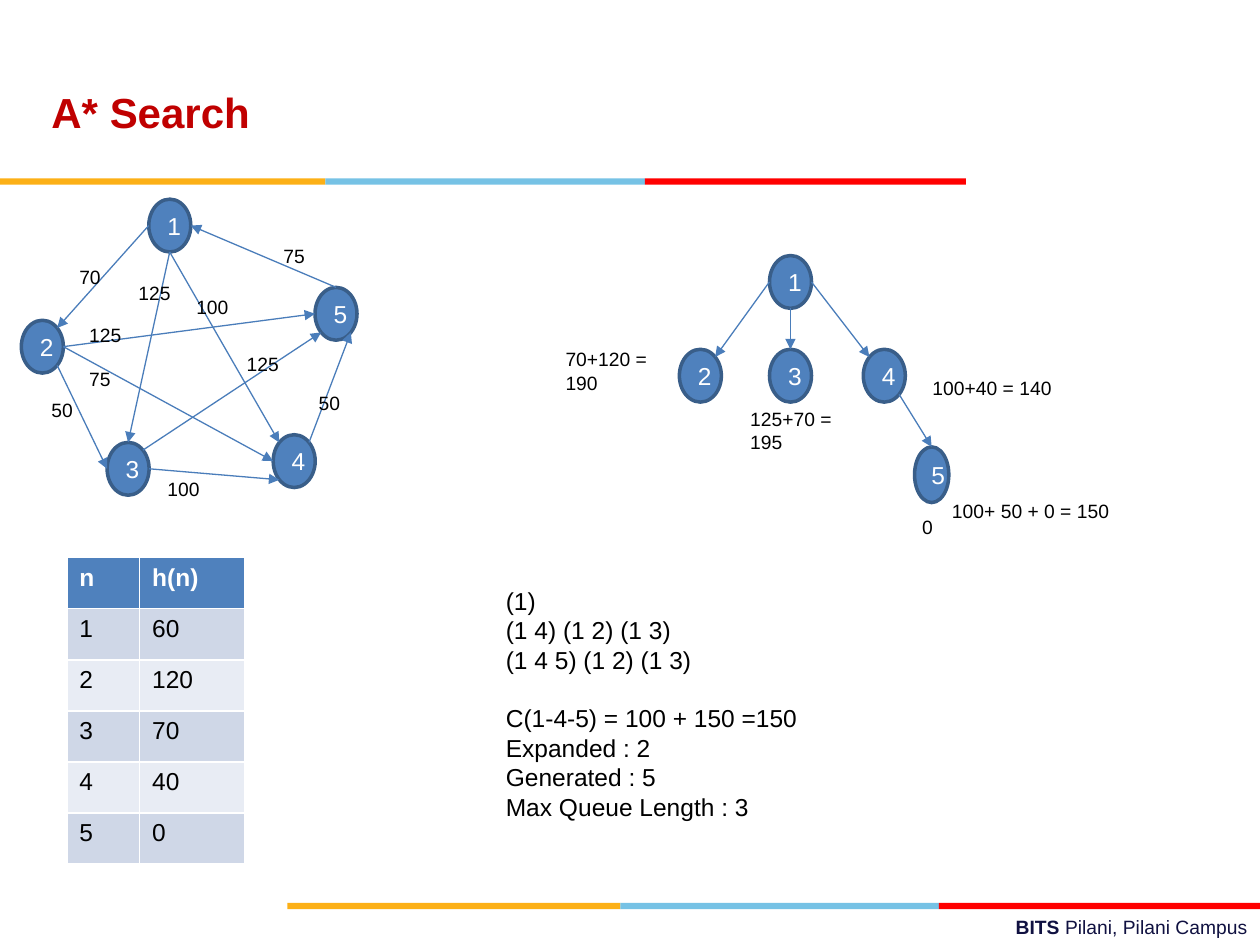
import math
from lxml import etree
from pptx import Presentation
from pptx import util as u
from pptx.dml import color
from pptx.enum import shapes, text
from pptx.oxml import ns

TOP, LEFT, LOWLEFT, BASE, LOWRIGHT, RIGHT, UPRIGHT = 90, 180, 225, 270, 315, 0, 45
UPLEFT = 135
YELLOW, SKY, RED = "FCB017", "76C2E5", "FF0000"


def tint(hue):
    return color.RGBColor.from_string(hue)


def site(node, angle):
    x, y, w, h = node
    turn = math.radians(angle)
    return x + w / 2 * (1 + math.cos(turn)), y + h / 2 * (1 - math.sin(turn))


class Deck:
    face = "Arial"
    blue, edge, wire = "4F81BD", "395E89", "4A7DBA"

    def __init__(self, wide, high):
        self.prs = Presentation()
        self.prs.slide_width, self.prs.slide_height = u.Pt(wide), u.Pt(high)
        self.slide = self.prs.slides.add_slide(self.prs.slide_layouts[6])
        self.shapes = self.slide.shapes

    def font(self, item, size, hue="000000", bold=False):
        font = item.font
        font.name, font.size, font.bold = self.face, u.Pt(size), bold
        font.color.rgb = tint(hue)

    def label(self, box, words, size=11, hue="000000", bold=False):
        frame = self.shapes.add_textbox(*map(u.Pt, box)).text_frame
        frame.word_wrap = True
        frame.text = words
        for para in frame.paragraphs:
            self.font(para, size, hue, bold)
        return frame

    def form(self, kind, box, fill):
        shape = self.shapes.add_shape(kind, *map(u.Pt, box))
        shape.shadow.inherit = False
        shape.fill.solid()
        shape.fill.fore_color.rgb = tint(fill)
        shape.line.fill.background()
        return shape

    def bar(self, top, *parts):
        for left, right, fill in parts:
            self.form(shapes.MSO_SHAPE.RECTANGLE, (left, top, right - left, 3.6), fill)

    def node(self, box, name):
        shape = self.form(shapes.MSO_SHAPE.OVAL, box, self.blue)
        shape.line.color.rgb = tint(self.edge)
        shape.line.width = u.Pt(2)
        frame = shape.text_frame
        frame.vertical_anchor = text.MSO_ANCHOR.MIDDLE
        frame.text = str(name)
        para = frame.paragraphs[0]
        para.alignment = text.PP_ALIGN.CENTER
        self.font(para, 14, "FFFFFF")

    def arrow(self, start, end):
        link = self.shapes.add_connector(
            shapes.MSO_CONNECTOR.STRAIGHT, *map(u.Pt, (*start, *end)))
        link.line.color.rgb = tint(self.wire)
        link.line.width = u.Pt(0.75)
        etree.SubElement(link.line._get_or_add_ln(), ns.qn("a:tailEnd"), type="triangle")
        etree.SubElement(link._element.spPr, ns.qn("a:effectLst"))

    def graph(self, nodes, edges):
        for name, box in nodes.items():
            self.node(box, name)
        for tail, out, head, into in edges:
            self.arrow(site(nodes[tail], out), site(nodes[head], into))

    def table(self, left, top, widths, high, rows):
        grid = self.shapes.add_table(
            len(rows), len(widths), u.Pt(left), u.Pt(top),
            u.Pt(sum(widths)), u.Pt(high * len(rows))).table
        for col, wide in zip(grid.columns, widths):
            col.width = u.Pt(wide)
        for r, row in enumerate(rows):
            fill = ("CFD7E7" if r % 2 else "E8ECF4") if r else self.blue
            for c, words in enumerate(row):
                cell = grid.cell(r, c)
                cell.text = str(words)
                cell.fill.solid()
                cell.fill.fore_color.rgb = tint(fill)
                self.font(cell.text_frame.paragraphs[0], 14,
                          "000000" if r else "FFFFFF", not r)


def main():
    deck = Deck(720, 540)
    deck.bar(516, (164.3, 354.5, YELLOW), (354.5, 536.5, SKY), (536.5, 720, RED))
    deck.bar(102, (0, 186, YELLOW), (186, 368.6, SKY), (368.6, 552, RED))

    foot = deck.label((258, 519.2, 462, 20.6), "", 11).paragraphs[0]
    foot.alignment = text.PP_ALIGN.RIGHT
    for words, bold in (("BITS ", True), ("Pilani, Pilani Campus", False)):
        run = foot.add_run()
        run.text = words
        deck.font(run, 11, "101141", bold)

    title = deck.label((22.3, 11.5, 498, 90), "A* Search", 24, "C00000", True)
    title.vertical_anchor = text.MSO_ANCHOR.MIDDLE
    title.paragraphs[0].line_spacing = 1.5

    heur = {1: 60, 2: 120, 3: 70, 4: 40, 5: 0}
    deck.table(38.2, 318.6, (41.6, 60.2), 29.2, [("n", "h(n)"), *heur.items()])

    size = (24, 30.2)
    spots = {1: (85, 113.8), 2: (12.2, 183), 3: (61.2, 252.8),
             4: (156.1, 248.4), 5: (180, 164.2)}
    deck.graph({name: spot + size for name, spot in spots.items()}, [
        (1, LEFT, 2, UPRIGHT), (1, BASE, 3, TOP), (1, BASE, 4, UPLEFT),
        (2, LOWRIGHT, 3, LEFT), (2, RIGHT, 4, LEFT), (2, RIGHT, 5, LEFT),
        (3, RIGHT, 4, LOWLEFT), (3, UPRIGHT, 5, LOWLEFT),
        (4, UPRIGHT, 5, LOWRIGHT), (5, TOP, 1, RIGHT)])
    for x, y, cost in (
            (38.2, 148.3, 70), (72, 157, 125), (105.1, 164.9, 100),
            (22.3, 224, 50), (43.9, 206.6, 75), (43.9, 181.4, 125),
            (175, 220.3, 50), (88.6, 269.3, 100), (133.9, 198, 125),
            (154.8, 136.1, 75)):
        deck.label((x, y, 27 if cost < 100 else 36, 20.6), str(cost))

    row = 199.6
    tree = {1: (439.7, 146) + size, 2: (388.2, row) + size,
            3: (439.7, row) + size, 4: (493.3, row) + size,
            5: (522.6, 255.4, 19.6, 31.8)}
    deck.graph(tree, [(1, LEFT, 2, UPRIGHT), (1, BASE, 3, TOP),
                      (1, RIGHT, 4, UPLEFT), (4, LOWRIGHT, 5, TOP)])
    for x, y, wide, words in (
            (519.8, 290.9, 27, "0"), (316.1, 195.1, 76.3, "70+120 = 190"),
            (421.6, 229.3, 79.9, "125+70 = 195"),
            (536.9, 281.8, 107, "100+ 50 + 0 = 150"),
            (525.8, 211.5, 86.4, "100+40 = 140")):
        deck.label((x, y, wide, 20.6), words)

    lines = ("(1)", "(1 4) (1 2) (1 3)", "(1 4 5) (1 2) (1 3)",
             "C(1-4-5) = 100 + 150 =150", "Expanded : 2", "Generated : 5",
             "Max Queue Length : 3")
    steps = deck.label((282, 331.2, 417.6, 160), "\n".join(lines), 14)
    steps.paragraphs[3].space_before = u.Pt(16.8)

    deck.prs.save("out.pptx")


if __name__ == "__main__":
    main()
